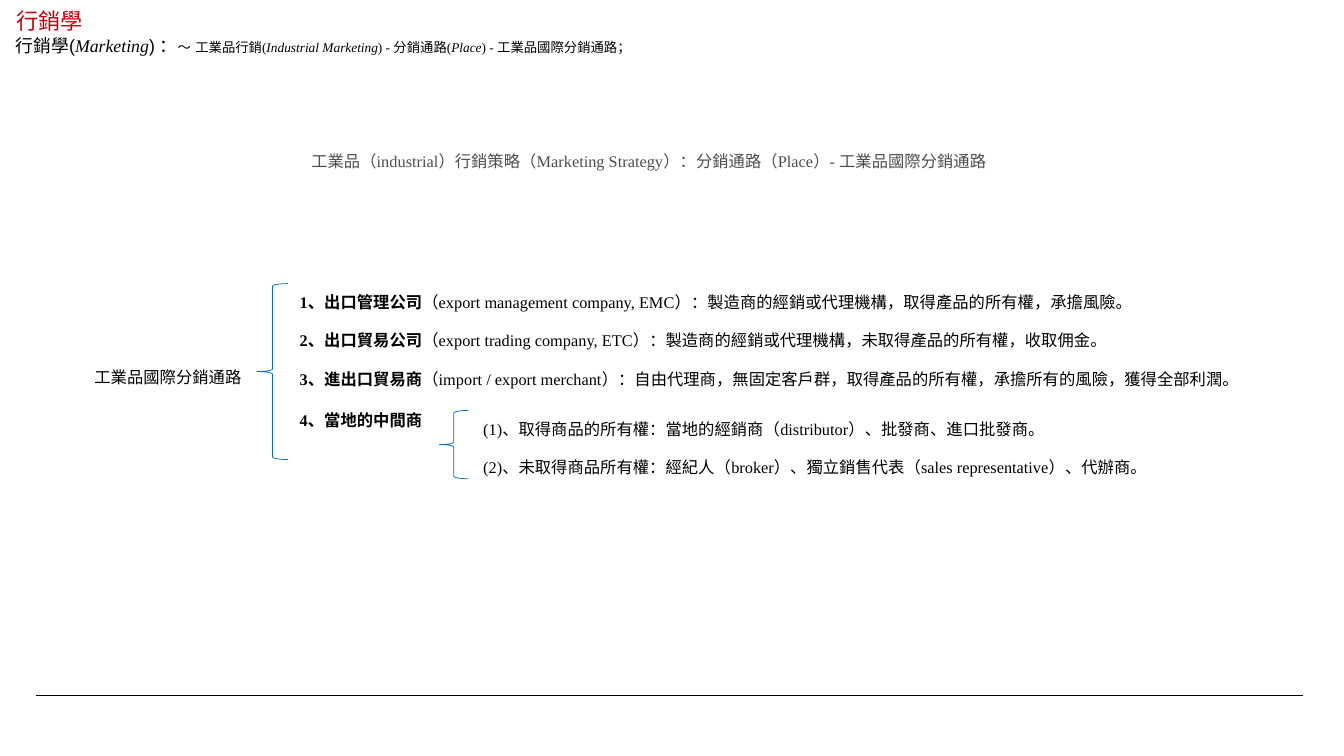
from dataclasses import dataclass

from lxml import etree
from pptx import Presentation
from pptx.dml.color import RGBColor
from pptx.enum.shapes import MSO_CONNECTOR, MSO_SHAPE
from pptx.enum.text import MSO_ANCHOR, MSO_AUTO_SIZE, PP_ALIGN
from pptx.oxml.ns import qn
from pptx.util import Inches, Pt

LEFT, CENTER = PP_ALIGN.LEFT, PP_ALIGN.CENTER
TOP, MIDDLE = MSO_ANCHOR.TOP, MSO_ANCHOR.MIDDLE
NO_FIT = MSO_AUTO_SIZE.NONE
STRAIGHT = MSO_CONNECTOR.STRAIGHT
LEFT_BRACE = MSO_SHAPE.LEFT_BRACE
TWO_CONTENT = 3


@dataclass(frozen=True)
class Theme:
    sans: str = "Arial"
    serif: str = "Times New Roman"
    ink: RGBColor = RGBColor(0x00, 0x00, 0x00)
    grey: RGBColor = RGBColor(0x4D, 0x4D, 0x4D)
    red: RGBColor = RGBColor(0xC7, 0x00, 0x0B)
    blue: RGBColor = RGBColor(0x00, 0x70, 0xC0)
    title: int = 15
    heading: int = 12
    body: int = 11
    trail: int = 9
    gap_size: int = 13
    line: float = 0.5
    leading: float = 1.5


class ChannelSlide:
    """Slide on a grid of ten columns and ten rows to the inch."""

    CELL = Inches(0.1)

    def __init__(self, deck, theme):
        self.theme = theme
        self.slide = deck.slides.add_slide(deck.slide_layouts[TWO_CONTENT])
        self.title_holder, self.list_holder, self.sublist_holder = self.slide.placeholders

    def cells(self, *counts):
        return [round(count * self.CELL) for count in counts]

    def fill_text(self, shape, area, paragraphs, font=None, size=None, color=None,
                  align=LEFT, anchor=TOP, leading=None, gaps=()):
        """Place a text shape; a paragraph is a list of (text, run style) pairs."""
        shape.left, shape.top, shape.width, shape.height = self.cells(*area)
        frame = shape.text_frame
        frame.word_wrap = True
        frame.auto_size = NO_FIT
        frame.vertical_anchor = anchor
        for index, runs in enumerate(paragraphs):
            paragraph = frame.paragraphs[0] if index == 0 else frame.add_paragraph()
            paragraph.alignment = align
            paragraph.line_spacing = leading or 1.0
            paragraph.space_before = Pt(gaps[index - 1] if index else 0)
            if shape.is_placeholder:
                self.clear_bullet(paragraph)
            paragraph.font.name = font or self.theme.serif
            paragraph.font.size = Pt(size or self.theme.body)
            paragraph.font.color.rgb = color or self.theme.ink
            for text, style in runs:
                run = paragraph.add_run()
                run.text = text
                for name, value in style.items():
                    setattr(run.font, name, value)

    def clear_bullet(self, paragraph):
        properties = paragraph._p.get_or_add_pPr()
        properties.set("marL", "0")
        properties.set("indent", "0")
        etree.SubElement(properties, qn("a:buNone"))

    def title(self, area, text):
        self.fill_text(self.title_holder, area, [[(text, {})]], font=self.theme.sans,
                       size=self.theme.title, color=self.theme.red, anchor=MIDDLE)

    def text(self, area, runs, **style):
        box = self.slide.shapes.add_textbox(0, 0, 0, 0)
        self.fill_text(box, area, [runs], **style)

    def bullets(self, holder, area, items, gaps):
        self.fill_text(holder, area, items, leading=self.theme.leading, gaps=gaps)

    def brace(self, area):
        brace = self.slide.shapes.add_shape(LEFT_BRACE, *self.cells(*area))
        brace.shadow.inherit = False
        brace.fill.background()
        brace.line.color.rgb = self.theme.blue
        brace.line.width = Pt(self.theme.line)

    def rule(self, start, end, row):
        rule = self.slide.shapes.add_connector(STRAIGHT, *self.cells(start, row, end, row))
        rule.line.color.rgb = self.theme.ink
        rule.line.width = Pt(self.theme.line)
        etree.SubElement(rule._element.spPr, qn("a:effectLst"))


def main():
    deck = Presentation()
    deck.slide_width, deck.slide_height = Inches(12.6), Inches(7.09)
    theme = Theme()
    page = ChannelSlide(deck, theme)

    page.rule(3.4, 122.2, 65.2)
    page.title((0.5, 0.7, 93.2, 2.4), "行銷學")

    term = {"name": theme.serif, "italic": True}
    trail = {"name": theme.serif, "size": Pt(theme.trail)}
    trail_term = {**trail, "italic": True}
    page.text((0.5, 2.6, 104.3, 3.2), [
        ("行銷學(", {}), ("Marketing", term), (") ：", {}),
        ("～", {"size": Pt(theme.trail)}), (" ", {"size": Pt(theme.gap_size)}),
        ("工業品行銷(", trail), ("Industrial Marketing", trail_term),
        (") - 分銷通路(", trail), ("Place", trail_term),
        (") - 工業品國際分銷通路；", trail),
    ], font=theme.sans, size=theme.heading)

    page.text((28.2, 12.8, 77.8, 3.4), [
        ("工業品（industrial）行銷策略（Marketing Strategy）：分銷通路（Place）- 工業品國際分銷通路", {}),
    ], color=theme.grey, leading=theme.leading)

    page.text((7.4, 33, 16.7, 3.4), [("工業品國際分銷通路", {})],
              align=CENTER, leading=theme.leading)
    page.brace((24.1, 26.6, 2.9, 16.5))

    channels = [
        ("1、出口管理公司", "（export management company, EMC）：製造商的經銷或代理機構，取得產品的所有權，承擔風險。"),
        ("2、出口貿易公司", "（export trading company, ETC）：製造商的經銷或代理機構，未取得產品的所有權，收取佣金。"),
        ("3、進出口貿易商", "（import / export merchant）：自由代理商，無固定客戶群，取得產品的所有權，承擔所有的風險，獲得全部利潤。"),
        ("4、當地的中間商", ""),
    ]
    page.bullets(page.list_holder, (27.1, 26, 89.7, 17), [
        [(name, {"bold": True})] + ([(detail, {})] if detail else [])
        for name, detail in channels
    ], gaps=(6, 6, 8))

    page.brace((41.2, 38.5, 2.7, 6.4))
    middlemen = [
        "(1)、取得商品的所有權：當地的經銷商（distributor）、批發商、進口批發商。",
        "(2)、未取得商品所有權：經紀人（broker）、獨立銷售代表（sales representative）、代辦商。",
    ]
    page.bullets(page.sublist_holder, (44.3, 37.9, 64.2, 9.6),
                 [[(text, {})] for text in middlemen], gaps=(6,))

    deck.save("out.pptx")


if __name__ == "__main__":
    main()
